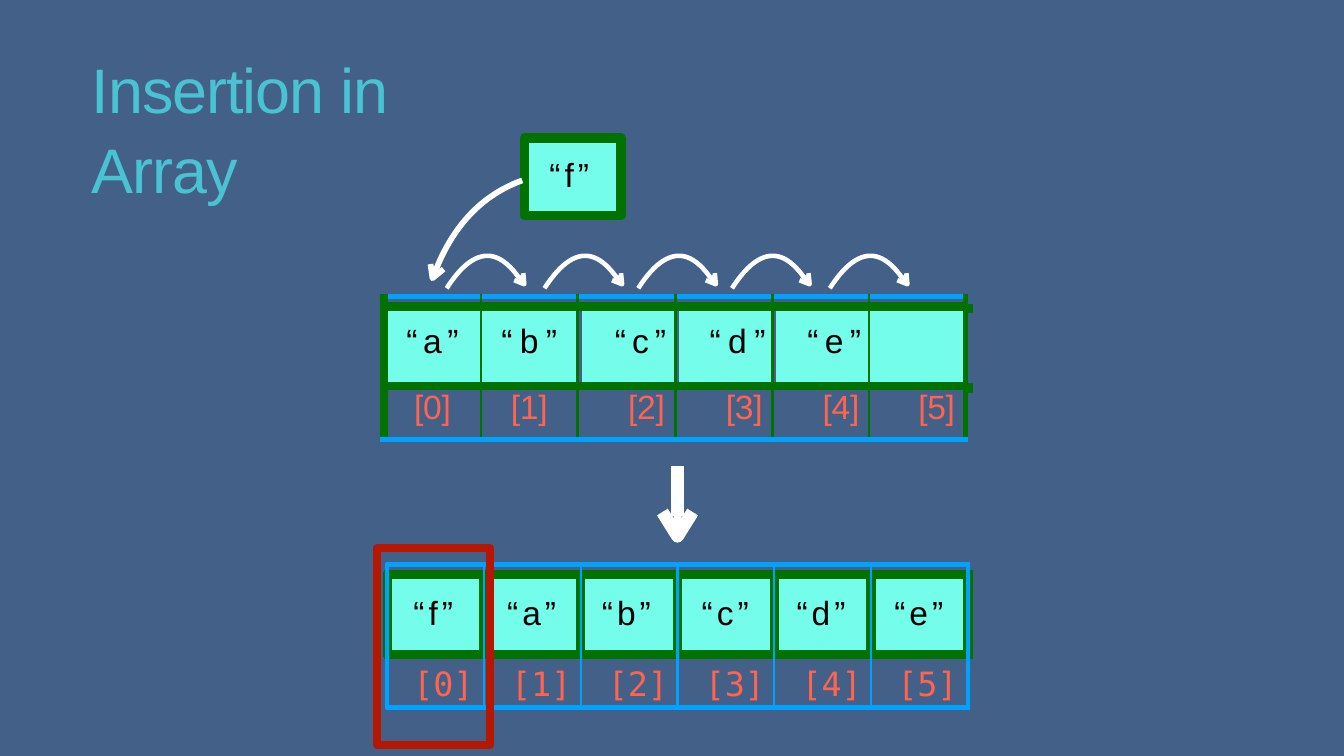
import pptx
import pptx.dml.color
import pptx.enum.shapes
import pptx.enum.text
import pptx.oxml
import pptx.oxml.ns
import pptx.util
from pptx.util import Inches

COLORS = {
    "background": "436089",
    "cell": "73FDEA",
    "green": "017100",
    "blue": "00A2FF",
    "red": "B51700",
    "index": "FF644E",
    "title": "49C3D2",
    "text": "000000",
    "white": "FFFFFF",
}
NAMESPACE = pptx.oxml.ns.nsdecls("a")
NO_MARGINS = {"margin_left": 0, "margin_top": 0, "margin_right": 0, "margin_bottom": 0}


def set_values(target, values):
    for name, value in values.items():
        setattr(target, name, value)


def curve(start, control, end, steps=24):
    """Return points along a quadratic Bezier curve."""
    return [
        tuple((1 - t) ** 2 * a + 2 * t * (1 - t) * b + t * t * c
              for a, b, c in zip(start, control, end))
        for t in (step / steps for step in range(steps + 1))
    ]


class ArraySlide:
    """Holds the colours and the slide, and draws each kind of element."""

    def __init__(self, presentation):
        self.slide = presentation.slides.add_slide(presentation.slide_layouts[5])
        self.shapes = self.slide.shapes
        self.fill(self.slide.background, "background")

    def color(self, name):
        return pptx.dml.color.RGBColor.from_string(COLORS[name])

    def fill(self, target, color):
        target.fill.solid()
        target.fill.fore_color.rgb = self.color(color)

    def stroke(self, shape, color, width):
        shape.line.color.rgb = self.color(color)
        shape.line.width = pptx.util.Pt(width)

    def run(self, paragraph, text, color, size=24, spacing=0, font="Arial"):
        run = paragraph.add_run()
        run.text = text
        set_values(run.font, {"name": font, "size": pptx.util.Pt(size), "bold": False})
        run.font.color.rgb = self.color(color)
        run.font._element.set("spc", str(round(spacing * 100)))

    def frame(self, shape):
        set_values(shape.text_frame, {
            **NO_MARGINS, "margin_top": Inches(0.01), "word_wrap": True,
            "vertical_anchor": pptx.enum.text.MSO_ANCHOR.TOP,
        })
        return shape.text_frame

    def title(self, text, left, top, width, height):
        shape = self.shapes.title
        set_values(shape, {"left": Inches(left), "top": Inches(top),
                           "width": Inches(width), "height": Inches(height)})
        paragraph = self.frame(shape).paragraphs[0]
        set_values(paragraph, {"alignment": pptx.enum.text.PP_ALIGN.LEFT, "line_spacing": 1.05})
        self.run(paragraph, text, "title", 44.9, -0.7)

    def text_box(self, left, top, width, height):
        box = self.shapes.add_textbox(*map(Inches, (left, top, width, height)))
        return self.frame(box)

    def tabs(self, paragraph, stops):
        tabs = "".join(f'<a:tab pos="{Inches(stop)}" algn="l"/>' for stop in stops)
        paragraph._p.get_or_add_pPr().append(
            pptx.oxml.parse_xml(f"<a:tabLst {NAMESPACE}>{tabs}</a:tabLst>"))

    def line(self, start, end, color, width):
        connector = self.shapes.add_connector(
            pptx.enum.shapes.MSO_CONNECTOR.STRAIGHT, *map(Inches, start + end))
        self.stroke(connector, color, width)
        connector._element.spPr.append(pptx.oxml.parse_xml(f"<a:effectLst {NAMESPACE}/>"))

    def path_shape(self, outlines, color, width):
        """Draw open outlines, each a list of points in inches, as one shape."""
        builder = None
        for outline in outlines:
            first, *rest = [(Inches(x), Inches(y)) for x, y in outline]
            if builder is None:
                builder = self.shapes.build_freeform(*first)
            else:
                builder.move_to(*first)
            builder.add_line_segments(rest, close=False)
        shape = builder.convert_to_shape()
        shape.shadow.inherit = False
        shape.fill.background()
        self.stroke(shape, color, width)

    def rectangle(self, left, top, width, height, fill=None, line=None, line_width=0):
        shape = self.shapes.add_shape(
            pptx.enum.shapes.MSO_SHAPE.RECTANGLE, *map(Inches, (left, top, width, height)))
        shape.shadow.inherit = False
        if fill:
            self.fill(shape, fill)
        else:
            shape.fill.background()
        if line:
            self.stroke(shape, line, line_width)
        else:
            shape.line.fill.background()

    def borders(self, cell, sides):
        """Set the left, right, top and bottom borders, each (colour, width) or None."""
        properties = cell._tc.get_or_add_tcPr()
        for position, (side, border) in enumerate(zip("LRTB", sides)):
            if border:
                color, width = border
                body = f'<a:solidFill><a:srgbClr val="{COLORS[color]}"/></a:solidFill>'
            else:
                width, body = 0, "<a:noFill/>"
            properties.insert(position, pptx.oxml.parse_xml(
                f'<a:ln{side} {NAMESPACE} w="{pptx.util.Pt(width)}">{body}</a:ln{side}>'))

    def cell_text(self, cell, text, indent, top, color, spacing):
        paragraph = cell.text_frame.paragraphs[0]
        cell.margin_top = Inches(top)
        if indent:
            cell.margin_left = Inches(indent)
        else:
            paragraph.alignment = pptx.enum.text.PP_ALIGN.CENTER
        self.run(paragraph, text, color, spacing=spacing)

    def array_table(self, left, top, widths, heights, values, indexes):
        table = self.shapes.add_table(
            len(heights), len(widths), Inches(left), Inches(top),
            Inches(sum(widths)), Inches(sum(heights))).table
        set_values(table, {"first_row": False, "horz_banding": False})
        for column, width in zip(table.columns, widths):
            column.width = Inches(width)
        for row, height in zip(table.rows, heights):
            row.height = Inches(height)
        gaps = [i for i, width in enumerate(widths) if width < 0.1]
        for row in (0, 2):
            for gap in gaps:
                table.cell(row, gap).merge(table.cell(row, gap + 1))
        thick, thin, blue = ("green", 6.6), ("green", 2.25), ("blue", 4.5)
        edges = [(blue, thick), (thick, thick), (thick, blue)]
        last = len(widths) - 1
        for row, (upper, lower) in enumerate(edges):
            for column in range(len(widths)):
                cell = table.cell(row, column)
                set_values(cell, NO_MARGINS)
                if cell.is_spanned:
                    continue
                self.fill(cell, "cell" if row == 1 and column not in gaps else "background")
                start = thick if column == 0 else thin
                end = ("green", 4.5) if column == last else thin
                if row == 1:
                    start = None if column - 1 in gaps else start
                    end = None if column in gaps else end
                self.borders(cell, (start, end, upper, lower))
                if row == 1 and column in values:
                    text, indent, spacing = values[column]
                    self.cell_text(cell, text, indent, 0.17, "text", spacing)
                elif row == 2:
                    text, indent = indexes[column]
                    self.cell_text(cell, text, indent, 0.03, "index", -0.2)
        for cell in table.iter_cells():
            if not cell.text_frame.text:
                cell.text_frame.paragraphs[0]._p.append(
                    pptx.oxml.parse_xml(f'<a:endParaRPr {NAMESPACE} sz="400"/>'))


def main():
    presentation = pptx.Presentation()
    set_values(presentation, {"slide_width": Inches(13.33), "slide_height": Inches(7.5)})
    page = ArraySlide(presentation)
    page.title("Insertion in Array", 0.91, 0.46, 4.3, 0.77)

    # Array before the insertion
    for y in (3.06, 3.85):
        page.line((3.81, y), (9.65, y), "green", 6.6)
    page.array_table(
        3.81, 2.94, [0.96, 0.96, 0.03, 0.93, 0.04, 0.92, 0.04, 0.92, 0.96], [0.1, 0.79, 0.53],
        {0: ("“a”", 0, 4), 1: ("“b”", 0, 5.3), 3: ("“c”", 0.33, 4.3),
         5: ("“d”", 0.3, 5.3), 7: ("“e”", 0.31, 4.5)},
        {0: ("[0]", 0), 1: ("[1]", 0), 2: ("[2]", 0.5), 4: ("[3]", 0.5),
         6: ("[4]", 0.5), 8: ("[5]", 0.49)})

    # Array after the insertion
    pitch = 0.96
    for i in range(6):
        page.rectangle(3.87 + pitch * i, 5.73, 0.91, 0.74, fill="cell")
    for i in range(7):
        page.line((3.84 + pitch * i, 5.67), (3.84 + pitch * i, 6.52), "green", 6.6)
    for y in (5.7, 6.49):
        page.line((3.81, y), (9.65, y), "green", 6.6)
    frame = page.text_box(4.1, 5.86, 5.49, 1.12)
    letters, numbers = frame.paragraphs[0], frame.add_paragraph()
    numbers.space_before = pptx.util.Pt(22)
    page.tabs(letters, (0.93, 1.87, 2.86, 3.8, 4.77))
    page.tabs(numbers, (0.97, 1.93, 2.89, 3.85, 4.8))
    page.run(letters, "“f”\t“a”\t“b”\t“c”\t“d”\t“e”", "text", 23.9, 2.9)
    page.run(numbers, "[0]\t[1]\t[2]\t[3]\t[4]\t[5]", "index", 23.9, -0.1, "DejaVu Sans Mono")
    for i in range(7):
        x = 3.84 + pitch * i
        page.line((x, 5.59), (x, 7.03), "blue", 3.3 if i in (0, 6) else 1.65)
    for y in (5.6, 7.02):
        page.line((3.83, y), (9.62, y), "blue", 3.3)
    page.rectangle(3.74, 5.44, 1.12, 1.95, line="red", line_width=5.77)

    # New element and the shifts it causes
    page.rectangle(5.2, 1.37, 0.96, 0.77, fill="cell", line="green", line_width=6.6)
    new_element = page.text_box(5.45, 1.52, 0.5, 0.41)
    page.run(new_element.paragraphs[0], "“f”", "text", 23.9, 2.9)
    page.path_shape([curve((4.33, 2.66), (4.6, 2), (5.18, 1.79))], "white", 4.12)
    page.path_shape([[(4.27, 2.62), (4.29, 2.76), (4.4, 2.67)],
                     [(4.33, 2.65), (4.29, 2.76)]], "white", 4.12)
    for x in (4.43, 5.4, 6.33, 7.26, 8.23):
        page.path_shape([curve((x, 2.86), (x + 0.38, 2.27), (x + 0.72, 2.76))], "white", 3.3)
        page.path_shape([[(x + 0.67, 2.78), (x + 0.77, 2.82), (x + 0.76, 2.71)],
                         [(x + 0.72, 2.74), (x + 0.77, 2.82)]], "white", 3.3)

    # Arrow from the first array to the second
    page.line((6.72, 4.62), (6.72, 5.12), "white", 9.07)
    page.path_shape([[(6.57, 5.08), (6.72, 5.32), (6.87, 5.08)]], "white", 9.07)
    page.rectangle(6.68, 5.08, 0.08, 0.24, fill="white")
    presentation.save("out.pptx")


if __name__ == "__main__":
    main()
